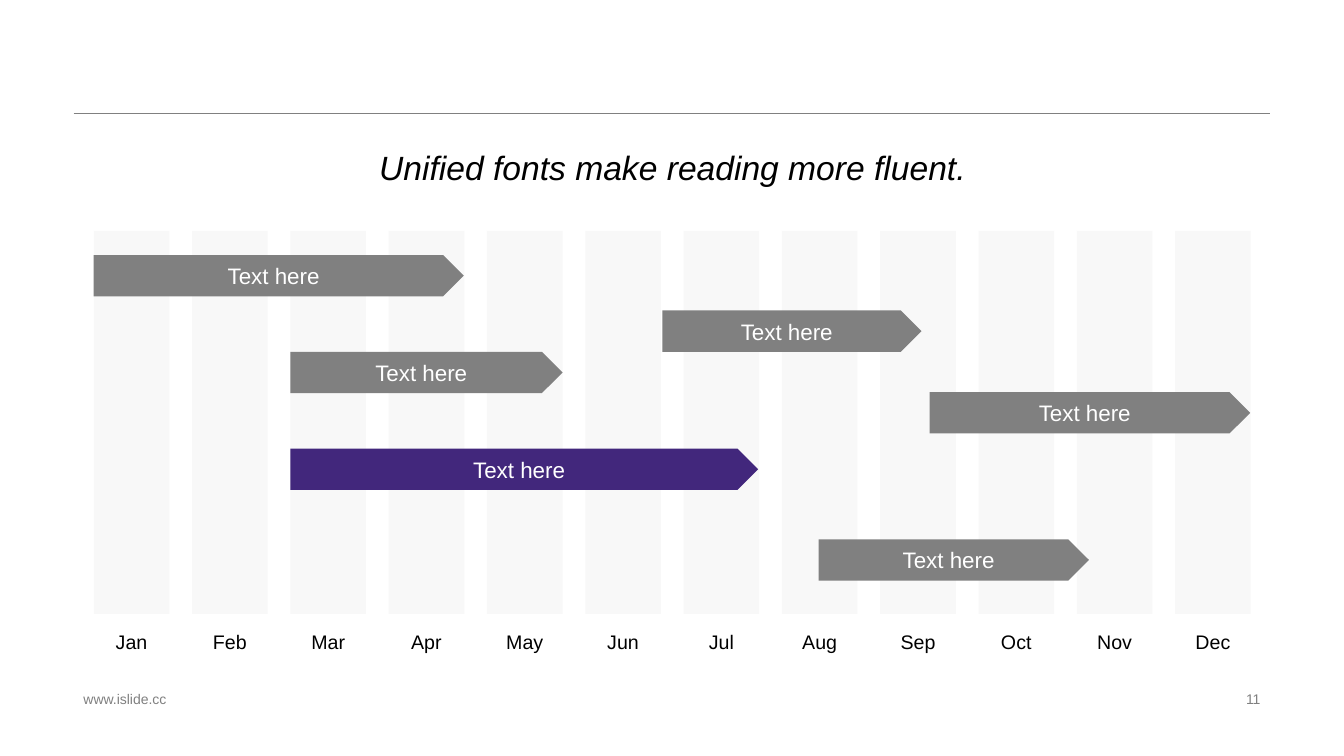
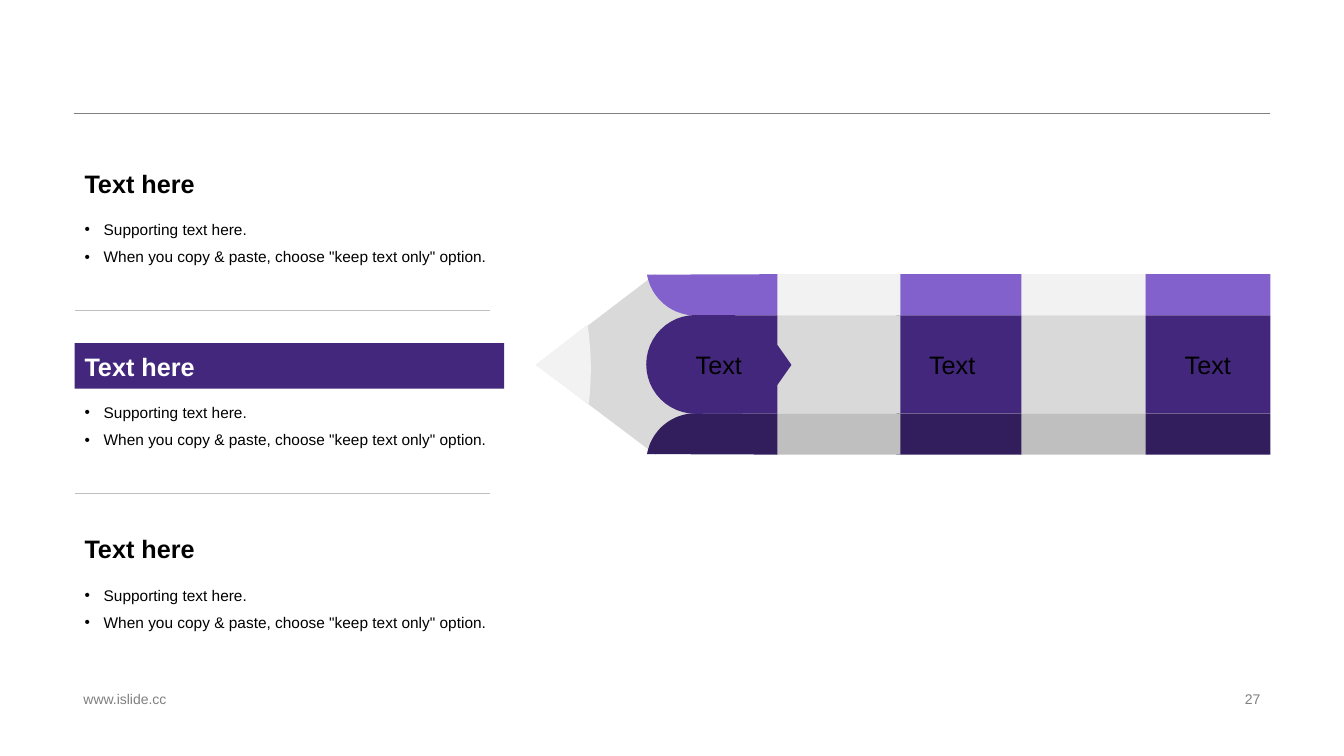
"""Build a yearly timeline slide and a pencil diagram slide."""
from math import cos, radians, sin

from lxml import etree
from pptx import Presentation
from pptx.dml.color import RGBColor
from pptx.enum.shapes import MSO_CONNECTOR, MSO_SHAPE
from pptx.enum.text import MSO_ANCHOR, PP_ALIGN
from pptx.oxml.ns import qn
from pptx.util import Inches, Pt

LEFT, MID, RIGHT = PP_ALIGN.LEFT, PP_ALIGN.CENTER, PP_ALIGN.RIGHT
TOP, CENTER = MSO_ANCHOR.TOP, MSO_ANCHOR.MIDDLE
RECT, PLATE = MSO_SHAPE.RECTANGLE, MSO_SHAPE.PENTAGON
STRAIGHT = MSO_CONNECTOR.STRAIGHT

FONT = "Arial"
BLACK, WHITE, GRAY = "000000", "FFFFFF", "808080"
PALE, SILVER, STEEL = "F2F2F2", "D9D9D9", "BFBFBF"
LILAC, PURPLE, DARK = "8361CD", "42277C", "321D5D"
VIOLETS, GRAYS = (LILAC, PURPLE, DARK), (PALE, SILVER, STEEL)

SITE = "www.islide.cc"
SLOGAN = "Unified fonts make reading more fluent."
MONTHS = "Jan Feb Mar Apr May Jun Jul Aug Sep Oct Nov Dec".split()
TASKS = [
    ("Text here", 0.93, 2.53, 3.67, GRAY),
    ("Text here", 2.88, 3.49, 2.7, GRAY),
    ("Text here", 2.88, 4.45, 4.64, PURPLE),
    ("Text here", 6.57, 3.08, 2.57, GRAY),
    ("Text here", 8.12, 5.35, 2.68, GRAY),
    ("Text here", 9.22, 3.89, 3.18, GRAY),
]
POINTS = ["Supporting text here.",
          'When you copy & paste, choose "keep text only" option.']
TOPICS = [("Text here", POINTS, False),
          ("Text here", POINTS, True),
          ("Text here", POINTS, False)]
BLOCKS = [
    (11.36, VIOLETS, "Text", 0),
    (10.12, GRAYS, "", 0.14),
    (8.89, VIOLETS, "Text", 0.13),
    (7.69, GRAYS, "", 0.14),
]
BANDS = [2.72, 3.13, 4.1, 4.51]
AXIS = 3.62


def color(code):
    """Turn a hex string into a colour."""
    return RGBColor.from_string(code)


def say(shape, lines, size, code, align=LEFT, anchor=CENTER,
        bold=False, italic=False, bullet=False):
    """Write and format the lines of a shape."""
    frame = shape.text_frame
    frame.text = "\n".join(lines)
    frame.word_wrap = True
    frame.vertical_anchor = anchor
    for para in frame.paragraphs:
        para.alignment = align
        if bullet:
            props = para._p.get_or_add_pPr()
            props.set("marL", str(Inches(0.19)))
            props.set("indent", str(-Inches(0.19)))
            etree.SubElement(props, qn("a:buFont")).set("typeface", FONT)
            etree.SubElement(props, qn("a:buChar")).set("char", "•")
            para.line_spacing = 1.5
        for run in para.runs:
            font = run.font
            font.name, font.size = FONT, Pt(size)
            font.bold, font.italic = bold, italic
            font.color.rgb = color(code)


def label(slide, box, lines, size, code, **style):
    """Add a text box."""
    shape = slide.shapes.add_textbox(*map(Inches, box))
    say(shape, lines, size, code, **style)
    return shape


def paint(shape, code):
    """Give a shape a flat fill with no line or shadow."""
    shape.shadow.inherit = False
    shape.fill.solid()
    shape.fill.fore_color.rgb = color(code)
    shape.line.fill.background()
    return shape


def block(slide, kind, box, code):
    """Add a flat preset shape."""
    return paint(slide.shapes.add_shape(kind, *map(Inches, box)), code)


def outline(slide, dots, code):
    """Add a flat closed shape through the given points."""
    first, *rest = [(Inches(x), Inches(y)) for x, y in dots]
    pen = slide.shapes.build_freeform(*first)
    pen.add_line_segments(rest, close=True)
    return paint(pen.convert_to_shape(), code)


def arc(x, y, size, start, end, steps=24):
    """List points on a circle between two angles in degrees."""
    turns = [radians(start + (end - start) * i / steps)
             for i in range(steps + 1)]
    return [(x + size * cos(t), y + size * sin(t)) for t in turns]


def rule(slide, left, right, y, code):
    """Add a thin level line."""
    line = slide.shapes.add_connector(
        STRAIGHT, Inches(left), Inches(y), Inches(right), Inches(y))
    line.line.color.rgb = color(code)
    line.line.width = Pt(0.25)
    etree.SubElement(line._element.spPr, qn("a:effectLst"))


def start(deck, number):
    """Add a slide with the shared rule and footer."""
    slide = deck.slides.add_slide(deck.slide_layouts[6])
    rule(slide, 0.73, 12.6, 1.12, GRAY)
    label(slide, (0.73, 6.82, 4.53, 0.23), [SITE], 10, GRAY)
    label(slide, (9.42, 6.82, 3.18, 0.23), [str(number)], 10, GRAY,
          align=RIGHT)
    return slide


def draw_year(slide):
    """Draw month columns and task arrows."""
    for i, month in enumerate(MONTHS):
        left = 0.93 + i * 0.975
        column = block(slide, RECT, (left, 2.29, 0.75, 3.8), PALE)
        tint = column._element.spPr.find(".//" + qn("a:srgbClr"))
        etree.SubElement(tint, qn("a:alpha")).set("val", "48000")
        name = label(slide, (left + 0.09, 6.2, 0.57, 0.34), [month], 14,
                     BLACK, align=MID)
        name.text_frame.word_wrap = False
    label(slide, (0.74, 1.37, 11.86, 0.57), [SLOGAN], 24, BLACK,
          align=MID, italic=True)
    for text, left, top, width, code in TASKS:
        task = block(slide, PLATE, (left, top, width, 0.41), code)
        say(task, [text], 16, WHITE, align=MID)


def draw_pencil(slide):
    """Draw the pencil from its end to its point."""
    high, upper, lower, low = BANDS
    for left, (light, main, shade), text, notch in BLOCKS:
        right = left + 1.24
        block(slide, RECT, (left, high, 1.24, upper - high), light)
        block(slide, RECT, (left, lower, 1.24, low - lower), shade)
        if notch:
            body = outline(slide, [
                (left, upper), (right, upper), (right, lower), (left, lower),
                (left, AXIS + 0.2), (left - notch, AXIS),
                (left, AXIS - 0.2)], main)
        else:
            body = block(slide, RECT, (left, upper, 1.24, lower - upper),
                         main)
        if text:
            say(body, [text], 18, BLACK, align=MID)

    outline(slide, [(5.32, AXIS), (6.5, high), (6.94, upper),
                    (6.94, lower), (6.5, low)], SILVER)
    outline(slide, [(5.31, AXIS)] + arc(2.92, 3.66, 2.94, -8.6, 6.8), PALE)

    edge, hub, size = 7.71, 6.9, 0.49
    outline(slide, [(edge, upper), (edge, high)]
            + arc(hub, 2.64, size, 170, 90), LILAC)
    outline(slide, [(edge, low), (edge, lower)]
            + arc(hub, 4.59, size, 270, 190), DARK)
    cap = outline(slide, arc(hub, 3.615, size, 90, 270) + [
        (edge, upper), (edge, AXIS - 0.2), (edge + 0.14, AXIS),
        (edge, AXIS + 0.2), (edge, lower)], PURPLE)
    say(cap, ["Text"], 18, BLACK, align=MID)


def draw_topics(slide):
    """Draw the headed bullet lists."""
    for i, (head, points, active) in enumerate(TOPICS):
        top = 1.59 + i * 1.815
        box = (0.74, top, 4.26, 0.45)
        label(slide, (0.74, top + 0.45, 4.26, 0.7), points, 11, BLACK,
              anchor=TOP, bullet=True)
        if active:
            say(block(slide, RECT, box, PURPLE), [head], 18, WHITE, bold=True)
        else:
            label(slide, box, [head], 18, BLACK, bold=True)
        if i:
            rule(slide, 0.74, 4.86, top - 0.33, STEEL)


def main():
    """Build and save the deck."""
    deck = Presentation()
    deck.slide_width, deck.slide_height = Inches(13.33), Inches(7.5)
    draw_year(start(deck, 11))
    slide = start(deck, 27)
    draw_pencil(slide)
    draw_topics(slide)
    deck.save("out.pptx")


if __name__ == "__main__":
    main()
